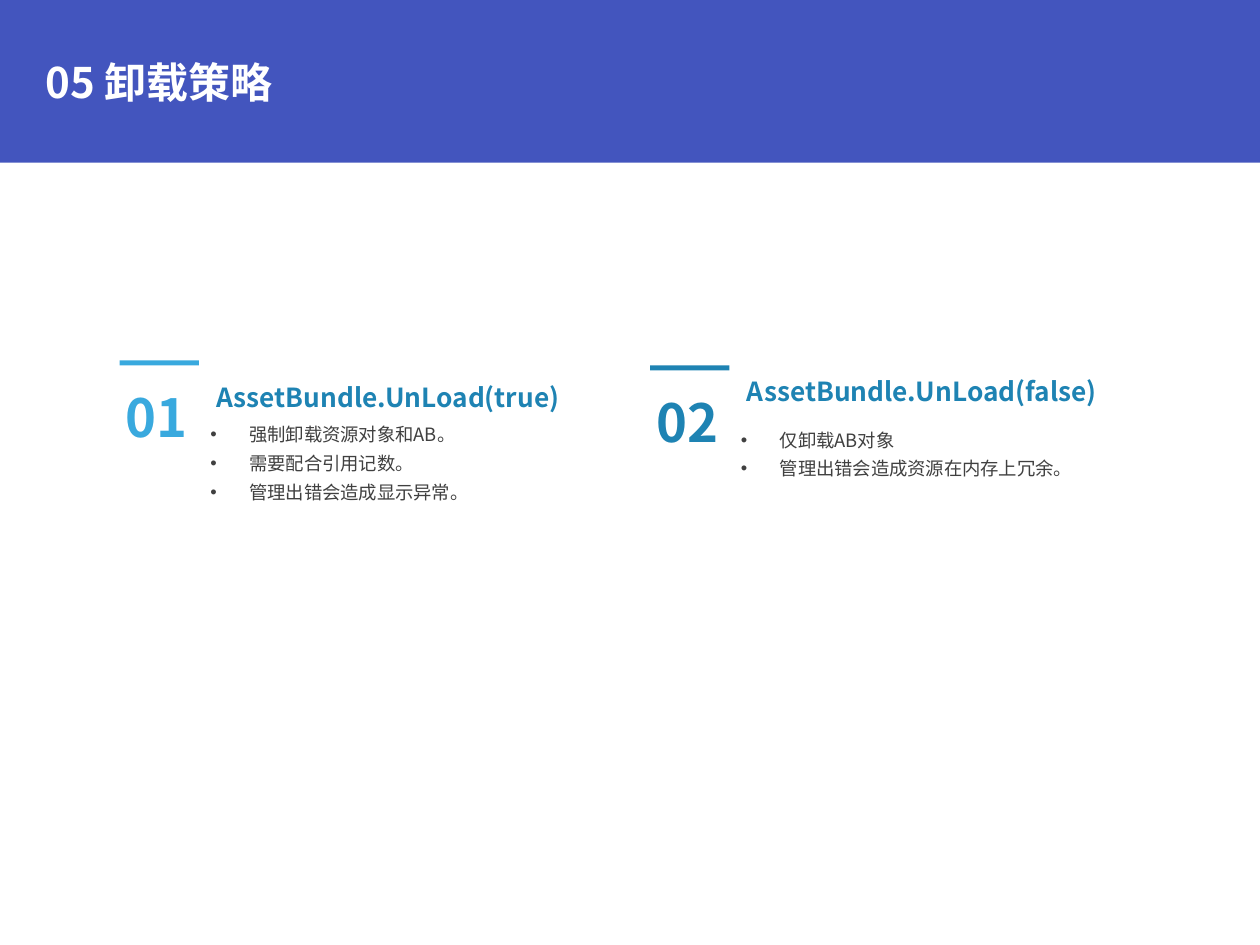
from pptx import Presentation
from pptx.dml.color import RGBColor
from pptx.enum.shapes import MSO_SHAPE
from pptx.enum.text import MSO_ANCHOR, MSO_AUTO_SIZE, PP_ALIGN
from pptx.oxml.ns import qn
from pptx.util import Inches, Pt

FONT = "Noto Sans CJK SC"


def add_rect(x, y, w, h, color):
    sp = s.shapes.add_shape(MSO_SHAPE.RECTANGLE, Inches(x), Inches(y), Inches(w), Inches(h))
    sp.shadow.inherit = False
    sp.fill.solid()
    sp.fill.fore_color.rgb = RGBColor.from_string(color)
    sp.line.fill.background()
    return sp


def write(sp, box, lines, size, color, bold=True, wrap=False, spacing=1.3, before=0):
    """Place a text shape and fill it with one paragraph per line."""
    sp.left, sp.top, sp.width, sp.height = [Inches(v) for v in box]
    tf = sp.text_frame
    tf.text = "\n".join(lines)
    tf.word_wrap = wrap
    tf.auto_size = MSO_AUTO_SIZE.NONE
    for p in tf.paragraphs:
        p.alignment = PP_ALIGN.LEFT
        p.line_spacing = spacing
        p.space_before = Pt(before)
        r = p.runs[0]
        r.font.name = FONT
        r.font.size = Pt(size)
        r.font.bold = bold
        r.font.color.rgb = RGBColor.from_string(color)
        ea = r.font._element.makeelement(qn("a:ea"), {"typeface": FONT})
        r.font._element.find(qn("a:latin")).addnext(ea)
    return tf


prs = Presentation()
prs.slide_width, prs.slide_height = Inches(10), Inches(7.5)
s = prs.slides.add_slide(prs.slide_layouts[3])
s.background.fill.solid()
s.background.fill.fore_color.rgb = RGBColor.from_string("4355BE")

panel = add_rect(0, 1.29, 10, 6.21, "FFFFFF")
s.shapes._spTree.insert(2, panel._element)

tf = write(s.shapes.title, (0.26, 0.28, 4.35, 0.79), ["05 卸载策略"], 24, "FFFFFF",
           wrap=True, spacing=0.9, before=10)
tf.vertical_anchor = MSO_ANCHOR.MIDDLE

# number, left, top, accent, heading, heading offset, width, spacing, list width, height, items
columns = [
    ("01", 0.95, 2.86, "39A9DE", "AssetBundle.UnLoad(true)", 0.04, 2.96, 1.3, 2.2, 1.02,
     ["强制卸载资源对象和AB。", "需要配合引用记数。", "管理出错会造成显示异常。"]),
    ("02", 5.16, 2.9, "1E83B3", "AssetBundle.UnLoad(false)", 0.03, 3.02, 1.0, 2.75, 0.79,
     ["仅卸载AB对象", "管理出错会造成资源在内存上冗余。"]),
]
for idx, (number, x, y, accent, heading, dy, head_w, spacing, w, h, items) in enumerate(columns, 1):
    add_rect(x, y, 0.63, 0.04, accent)
    tf = write(s.placeholders[idx], (x + 0.62, y + 0.4, w, h), items, 10.5, "404040",
               bold=False, wrap=True)
    tf.vertical_anchor = MSO_ANCHOR.TOP
    for p in tf.paragraphs:
        pPr = p._p.get_or_add_pPr()
        pPr.set("marL", str(Inches(0.31)))
        pPr.set("indent", str(-Inches(0.31)))
    write(s.shapes.add_textbox(0, 0, 0, 0), (x + 0.67, y + dy, head_w, 0.43), [heading],
          15, "1E83B3", spacing=spacing)
    write(s.shapes.add_textbox(0, 0, 0, 0), (x - 0.05, y, 0.71, 0.76), [number], 30, accent)

prs.save("out.pptx")
